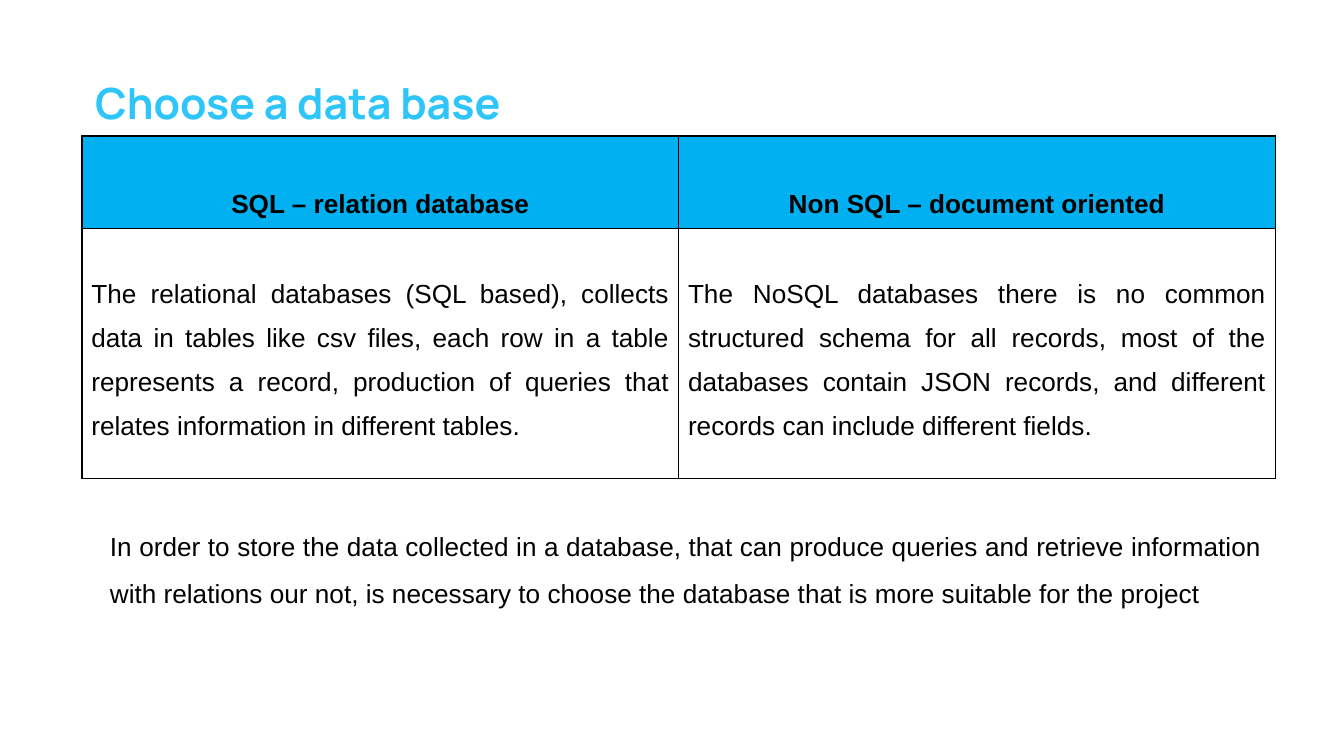
from lxml.etree import SubElement
from pptx import Presentation
from pptx.dml.color import RGBColor
from pptx.enum.text import MSO_ANCHOR, PP_ALIGN
from pptx.oxml.ns import qn
from pptx.util import Inches, Pt

COLORS = {"title": "2DC5FA", "header": "00B0F0", "text": "000000", "border": "000000"}

HEADERS = ["SQL – relation database", "Non SQL – document oriented"]
DESCRIPTIONS = [
    "The relational databases (SQL based), collects data in tables like csv files, "
    "each row in a table represents a record, production of queries that relates "
    "information in different tables.",
    "The NoSQL databases there is no common structured schema for all records, most "
    "of the databases contain JSON records, and different records can include "
    "different fields.",
]
SUMMARY = (
    "In order to store the data collected in a database, that can produce queries and "
    "retrieve information with relations our not, is necessary to choose the database "
    "that is more suitable for the project "
)


def write(tf, text, size=14, font="Arial", color="text", bold=False,
          align=PP_ALIGN.LEFT, spacing=1.0, after=0):
    tf.text = text
    p = tf.paragraphs[0]
    p.alignment = align
    p.line_spacing = spacing
    p.space_after = Pt(after)
    r = p.runs[0]
    r.font.size = Pt(size)
    r.font.name = font
    r.font.bold = bold
    r.font.color.rgb = RGBColor.from_string(COLORS[color])


def add_text(s, box, text, **style):
    tf = s.shapes.add_textbox(*map(Inches, box)).text_frame
    tf.word_wrap = True
    tf.margin_left = tf.margin_right = tf.margin_top = tf.margin_bottom = Inches(0.1)
    write(tf, text, **style)


def set_borders(cell, width=1):
    tc_pr = cell._tc.get_or_add_tcPr()
    for i, side in enumerate(("a:lnL", "a:lnR", "a:lnT", "a:lnB")):
        ln = tc_pr.makeelement(qn(side), {"w": str(Pt(width))})
        fill = SubElement(ln, qn("a:solidFill"))
        SubElement(fill, qn("a:srgbClr"), val=COLORS["border"])
        tc_pr.insert(i, ln)  # borders must precede the cell fill


def add_comparison(s, box, header_height):
    left, top, width, height = box
    table = s.shapes.add_table(2, len(HEADERS), *map(Inches, box)).table
    table.rows[0].height = Inches(header_height)
    table.rows[1].height = Inches(height - header_height)
    for col in table.columns:
        col.width = Inches(width / len(HEADERS))

    for row, texts in enumerate((HEADERS, DESCRIPTIONS)):
        is_header = row == 0
        for col, text in enumerate(texts):
            cell = table.cell(row, col)
            cell.vertical_anchor = MSO_ANCHOR.MIDDLE
            cell.margin_left = cell.margin_right = Inches(0.07)
            cell.margin_top = cell.margin_bottom = 0
            if is_header:
                cell.fill.solid()
                cell.fill.fore_color.rgb = RGBColor.from_string(COLORS["header"])
            else:
                cell.fill.background()
            write(cell.text_frame, text, bold=is_header,
                  align=PP_ALIGN.CENTER if is_header else PP_ALIGN.JUSTIFY,
                  spacing=2.5 if is_header else 1.5)
            set_borders(cell)


def main():
    prs = Presentation()
    prs.slide_width = Inches(10)
    prs.slide_height = Inches(10 * 9 / 16)
    s = prs.slides.add_slide(prs.slide_layouts[6])
    add_text(s, (0.72, 3.73, 8.77, 1.18), SUMMARY,
             align=PP_ALIGN.JUSTIFY, spacing=1.5)
    add_text(s, (0.61, 0.47, 5.34, 0.54), "Choose a data base",
             size=23, font="Manrope", color="title", bold=True, after=16)
    add_comparison(s, (0.61, 1.01, 8.88, 2.55), header_height=0.69)
    prs.save("out.pptx")


if __name__ == "__main__":
    main()
